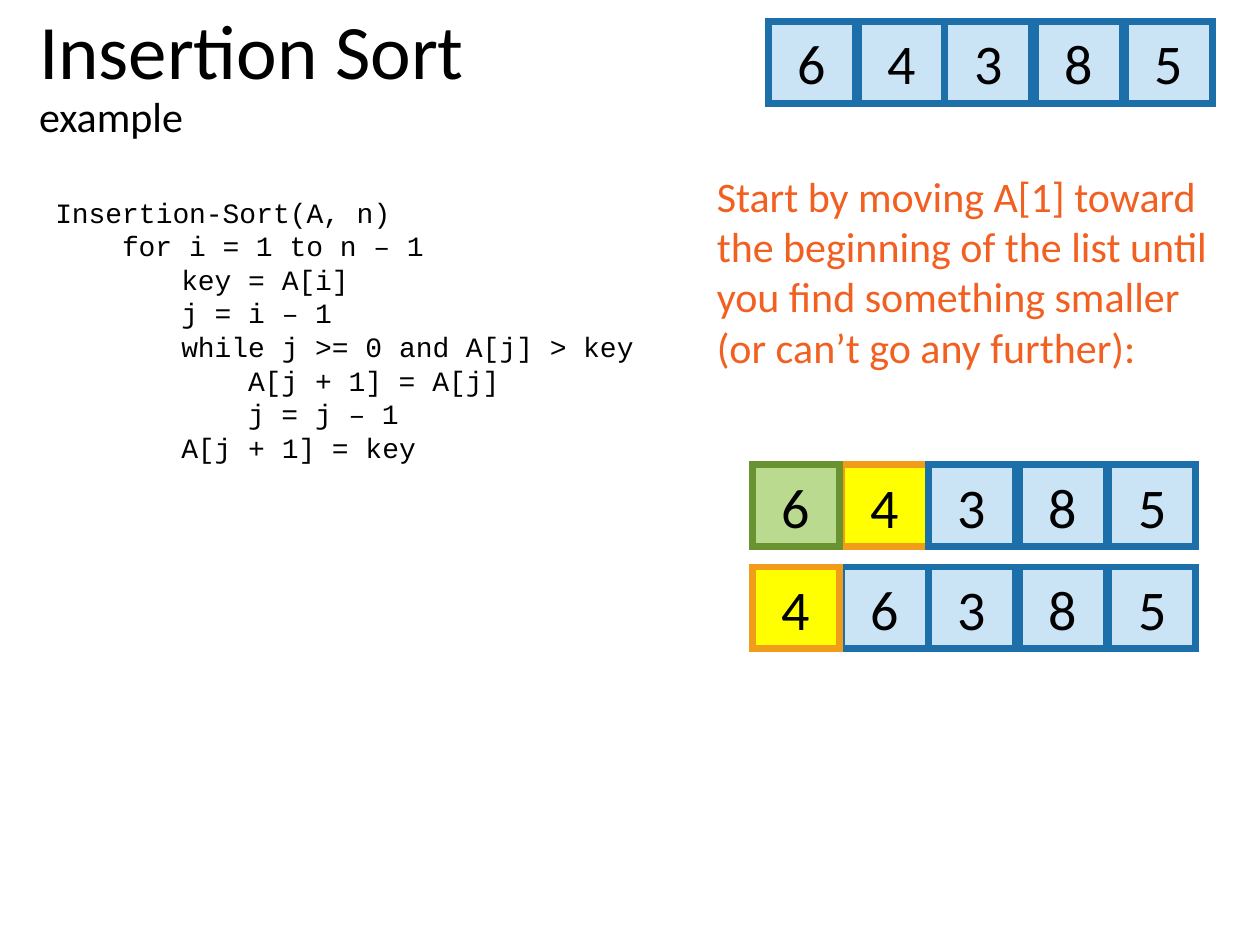
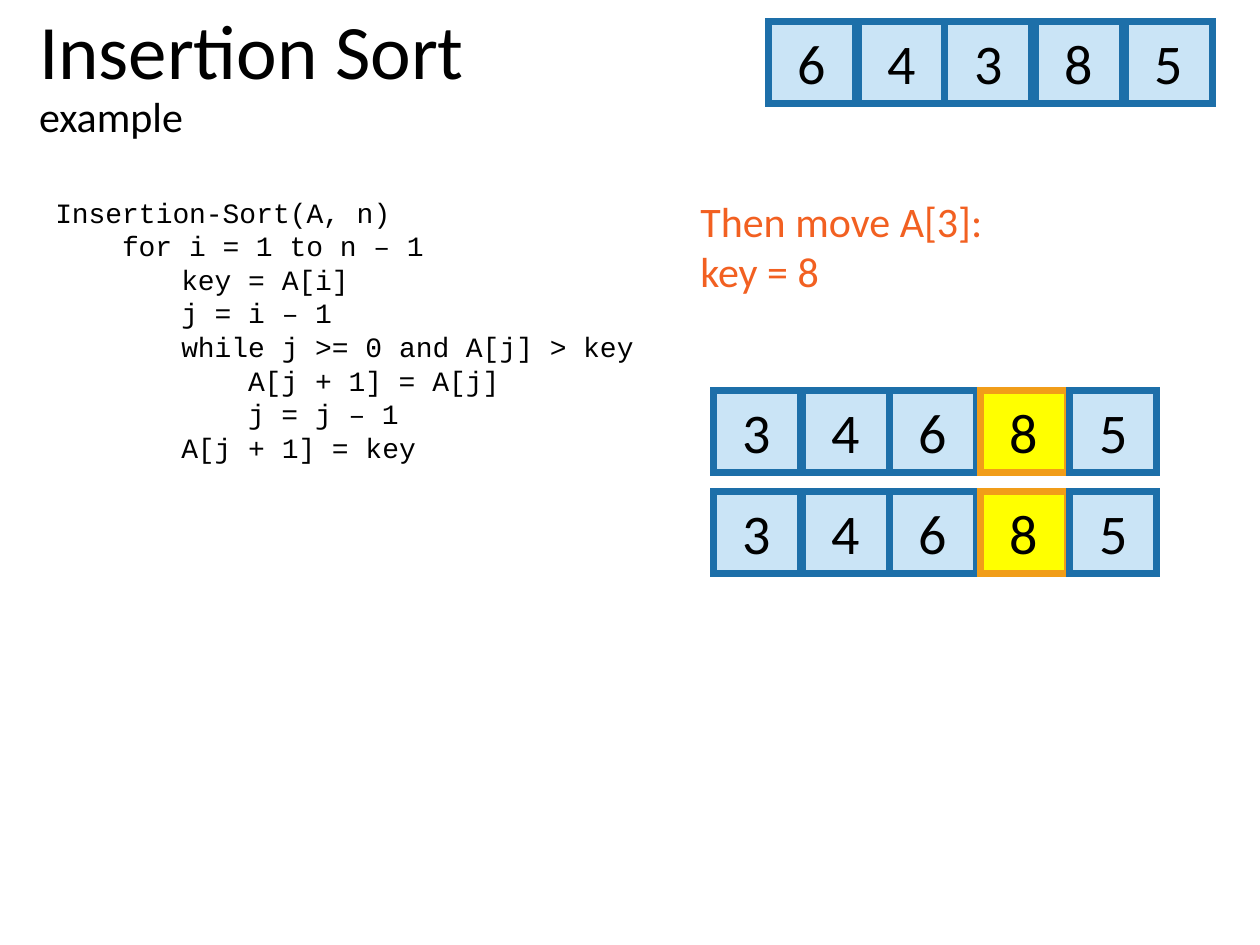
"""Build two slides that step through insertion sort beside its pseudocode."""
from lxml.etree import SubElement
from pptx import Presentation
from pptx.dml.color import RGBColor
from pptx.enum.shapes import MSO_SHAPE
from pptx.enum.text import MSO_ANCHOR, MSO_AUTO_SIZE, PP_ALIGN
from pptx.oxml.ns import qn
from pptx.util import Pt

PX = 9144
BLACK = RGBColor(0x00, 0x00, 0x00)
ORANGE = RGBColor(0xF2, 0x60, 0x21)
PLAIN = (RGBColor(0xCA, 0xE4, 0xF6), RGBColor(0x1D, 0x6F, 0xA9))
KEY = (RGBColor(0xFF, 0xFF, 0x00), RGBColor(0xF1, 0x9D, 0x19))
SORTED = (RGBColor(0xB9, 0xDA, 0x8F), RGBColor(0x69, 0x93, 0x31))

CELL_WIDTH, CELL_HEIGHT = 69, 65
CELL_OFFSETS = (0, 71, 140, 212, 283)
DRAW_ORDER = (1, 0, 2, 3, 4)
TAB, FOUR_CHARACTERS = 100, 53

CODE = [
    (0, "Insertion-Sort(A, n)"),
    (FOUR_CHARACTERS, "for i = 1 to n – 1"),
    (TAB, "key = A[i]"),
    (TAB, "j = i – 1"),
    (TAB, "while j >= 0 and A[j] > key"),
    (TAB + FOUR_CHARACTERS, "A[j + 1] = A[j]"),
    (TAB + FOUR_CHARACTERS, "j = j – 1"),
    (TAB, "A[j + 1] = key"),
]
INPUT_ROW = (610, 17, "64385", {})

STEPS = [
    {
        "note_at": (559, 130, 428, 172),
        "note": ["Start by moving A[1] toward the beginning of the list until "
                 "you find something smaller (or can’t go any further):"],
        "rows": [
            (597, 369, "64385", {0: SORTED, 1: KEY}),
            (597, 450, "46385", {0: KEY}),
        ],
    },
    {
        "note_at": (546, 150, 382, 91),
        "note": ["Then move A[3]:", "key = 8"],
        "rows": [
            (566, 310, "34685", {3: KEY}),
            (566, 390, "34685", {3: KEY}),
        ],
    },
]


def add_lines(page, place, lines, font_name, size, color):
    box = page.shapes.add_textbox(*(PX * length for length in place))
    frame = box.text_frame
    frame.word_wrap = True
    for number, (indent, line) in enumerate(lines):
        para = frame.add_paragraph() if number else frame.paragraphs[0]
        para.text = line
        para.font.name = font_name
        para.font.size = Pt(size)
        para.font.color.rgb = color
        if indent:
            para._p.get_or_add_pPr().set("marL", str(PX * indent))


def add_array(page, left, top, digits, marks):
    group = page.shapes.add_group_shape()
    for index in DRAW_ORDER:
        fill, edge = marks.get(index, PLAIN)
        cell = group.shapes.add_shape(
            MSO_SHAPE.RECTANGLE, PX * (left + CELL_OFFSETS[index]), PX * top,
            PX * CELL_WIDTH, PX * CELL_HEIGHT)
        cell.shadow.inherit = False
        cell.fill.solid()
        cell.fill.fore_color.rgb = fill
        cell.line.color.rgb = edge
        cell.line.width = Pt(4)
        SubElement(cell.line._ln, qn("a:miter"), lim="800000")
        cell.text_frame.vertical_anchor = MSO_ANCHOR.MIDDLE
        para = cell.text_frame.paragraphs[0]
        para.text = digits[index]
        para.alignment = PP_ALIGN.CENTER
        para.font.name = "Calibri"
        para.font.size = Pt(32)
        para.font.color.rgb = BLACK


deck = Presentation()
deck.slide_width, deck.slide_height = PX * 1000, PX * 750

for step in STEPS:
    page = deck.slides.add_slide(deck.slide_layouts[5])
    title = page.shapes.title
    title.left, title.top, title.width, title.height = PX * 21, PX * -11, PX * 862, PX * 145
    title.text_frame.auto_size = MSO_AUTO_SIZE.NONE
    title.text_frame.vertical_anchor = MSO_ANCHOR.MIDDLE
    heading = title.text_frame.paragraphs[0]
    heading.alignment = PP_ALIGN.LEFT
    heading.line_spacing = 0.9
    heading.font.name = "Calibri"
    heading.font.color.rgb = BLACK
    for text, size in (("Insertion Sort ", 44), ("example", 24)):
        if heading.runs:
            heading.add_line_break()
        span = heading.add_run()
        span.text = text
        span.font.size = Pt(size)

    add_lines(page, (34, 150, 522, 252), CODE, "Courier New", 16, BLACK)
    add_lines(page, step["note_at"], [(0, line) for line in step["note"]],
              "Calibri", 24, ORANGE)
    for row in [INPUT_ROW, *step["rows"]]:
        add_array(page, *row)

deck.save("out.pptx")
